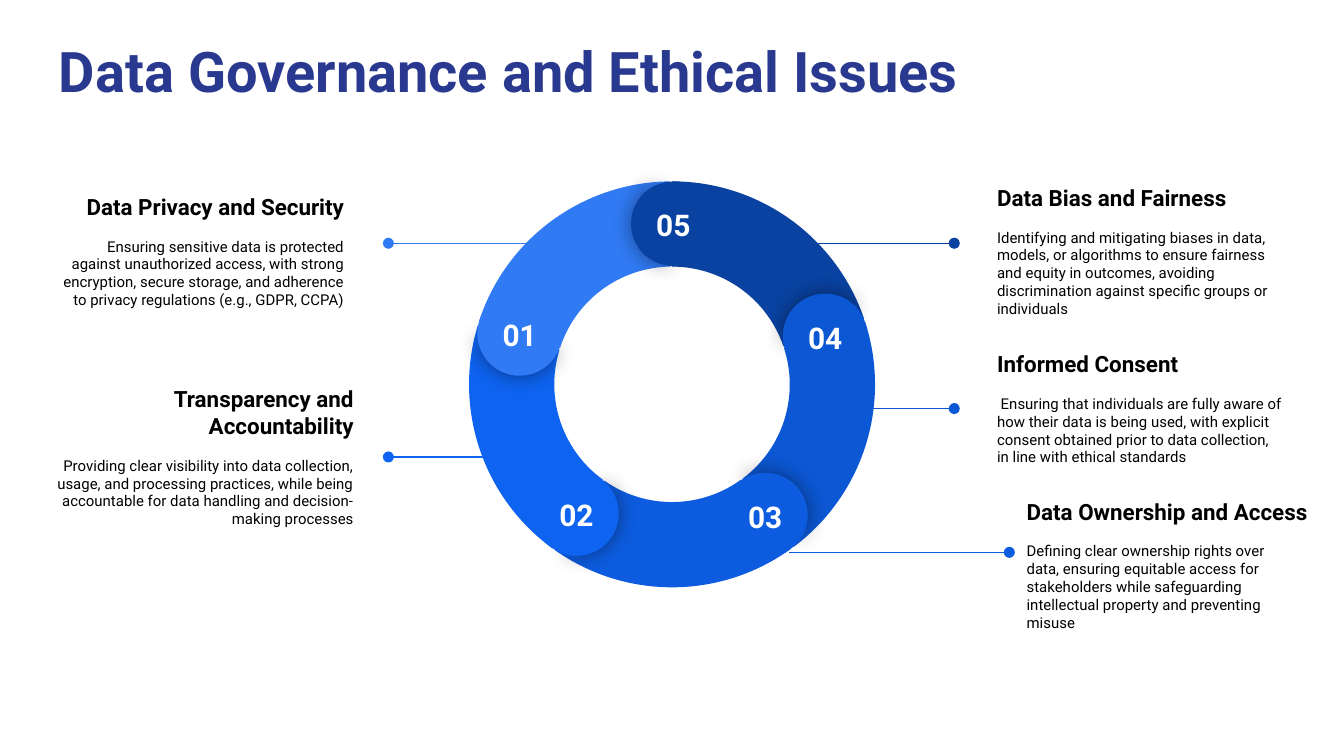
from math import cos, radians, sin

from lxml import etree
from pptx import Presentation
from pptx.dml.color import RGBColor
from pptx.enum.shapes import MSO_CONNECTOR, MSO_SHAPE
from pptx.enum.text import MSO_ANCHOR, PP_ALIGN
from pptx.oxml.ns import qn
from pptx.util import Inches, Pt

FONT = "Roboto"
NAVY = RGBColor(0x2A, 0x39, 0x90)
BLACK = RGBColor(0x00, 0x00, 0x00)
WHITE = RGBColor(0xFF, 0xFF, 0xFF)
BLUE_1 = RGBColor(0x30, 0x7A, 0xF3)
BLUE_2 = RGBColor(0x0E, 0x63, 0xF0)
BLUE_3 = RGBColor(0x0D, 0x5C, 0xDF)
BLUE_4 = RGBColor(0x0C, 0x57, 0xD3)
BLUE_5 = RGBColor(0x09, 0x42, 0xA1)

# Clockwise from the top of the ring
SEGMENTS = [("05", BLUE_5), ("04", BLUE_4), ("03", BLUE_3), ("02", BLUE_2), ("01", BLUE_1)]
STEP = 360 / len(SEGMENTS)
CAP_SIZE = 0.63

HEADING = {"size": 12, "bold": True}
BODY = {"size": 8, "space_after": 16}
HEADING_GAP = 9.4

# Text box, alignment, heading, body
CALLOUTS = [
    ((0.34, 1.36, 2.32, 1.01), PP_ALIGN.RIGHT, "Data Privacy and Security",
     "Ensuring sensitive data is protected against unauthorized access, with strong "
     "encryption, secure storage, and adherence to privacy regulations (e.g., GDPR, CCPA)"),
    ((0.24, 2.89, 2.49, 1.01), PP_ALIGN.RIGHT, "Transparency and Accountability",
     "Providing clear visibility into data collection, usage, and processing practices, "
     "while being accountable for data handling and decision-making processes"),
    ((7.32, 1.36, 2.32, 1.01), PP_ALIGN.LEFT, "Data Bias and Fairness",
     "Identifying and mitigating biases in data, models, or algorithms to ensure fairness "
     "and equity in outcomes, avoiding discrimination against specific groups or individuals"),
    ((7.32, 2.53, 2.32, 1.01), PP_ALIGN.LEFT, "Informed Consent",
     " Ensuring that individuals are fully aware of how their data is being used, with "
     "explicit consent obtained prior to data collection, in line with ethical standards"),
]

# Start x, end x, y, colour
LEADERS = [
    (4.23, 2.89, 1.81, BLUE_1),
    (3.91, 2.89, 3.4, BLUE_2),
    (5.87, 7.51, 4.11, BLUE_3),
    (5.7, 7.1, 1.81, BLUE_5),
    (6.14, 7.1, 3.04, BLUE_4),
]


def add_text(slide, box, paragraphs, align=PP_ALIGN.LEFT, anchor=MSO_ANCHOR.TOP):
    """Add a text box from (text, style) pairs."""
    frame = slide.shapes.add_textbox(*map(Inches, box)).text_frame
    frame.word_wrap = True
    frame.vertical_anchor = anchor
    frame.margin_left = frame.margin_right = Inches(0.1)
    frame.margin_top = frame.margin_bottom = Inches(0.1)
    for index, (text, style) in enumerate(paragraphs):
        paragraph = frame.add_paragraph() if index else frame.paragraphs[0]
        paragraph.text = text
        paragraph.alignment = align
        paragraph.space_after = Pt(style.get("space_after", 0))
        font = paragraph.font
        font.name = FONT
        font.size = Pt(style["size"])
        font.bold = style.get("bold", False)
        font.color.rgb = style.get("color", BLACK)


def add_callout(slide, box, align, heading, body):
    paragraphs = [(heading, {**HEADING, "space_after": HEADING_GAP}), (body, BODY)]
    add_text(slide, box, paragraphs, align, MSO_ANCHOR.MIDDLE)


def add_ownership_callout(slide, left, top):
    """The body wraps narrower than its heading, so each has its own box."""
    add_text(slide, (left, top + 0.32, 2.19, 0.78), [(
        "Defining clear ownership rights over data, ensuring equitable access for "
        "stakeholders while safeguarding intellectual property and preventing misuse", BODY)])
    add_text(slide, (left, top, 2.35, 0.39), [("Data Ownership and Access", HEADING)])


def add_leader(slide, start, end, y, color):
    """Add a horizontal line with a dot at its end."""
    line = slide.shapes.add_connector(
        MSO_CONNECTOR.STRAIGHT, Inches(start), Inches(y), Inches(end), Inches(y))
    line.line.color.rgb = color
    line.line.width = Pt(0.75)
    outline = line._element.spPr.find(qn("a:ln"))
    etree.SubElement(outline, qn("a:tailEnd"), type="oval")
    etree.SubElement(line._element.spPr, qn("a:effectLst"))


def add_sector(slide, kind, box, rotation, adjustments, color):
    shape = slide.shapes.add_shape(kind, *map(Inches, box))
    shape.rotation = rotation % 360
    for index, value in enumerate(adjustments):
        shape.adjustments[index] = value
    shape.shadow.inherit = False
    shape.fill.solid()
    shape.fill.fore_color.rgb = color
    shape.line.fill.background()
    return shape


def add_glow(shape):
    """Give the shape a soft black shadow on all sides."""
    effects = shape._element.spPr.find(qn("a:effectLst"))
    shadow = etree.SubElement(effects, qn("a:outerShdw"), blurRad=str(Pt(11.2)),
                              dist="0", dir="0", algn="ctr", rotWithShape="0")
    color = etree.SubElement(shadow, qn("a:srgbClr"), val="000000")
    etree.SubElement(color, qn("a:alpha"), val="43000")


def add_ring(slide, left, top, size):
    for index, (_, color) in enumerate(SEGMENTS):
        add_sector(slide, MSO_SHAPE.BLOCK_ARC, (left, top, size, size),
                   60 + index * STEP, (126.03, 168.68, 0.21), color)

    cap_orbit = (size - CAP_SIZE) / 2
    for index, (number, color) in enumerate(SEGMENTS):
        turn = index * STEP
        angle = radians(turn - 89.5)
        center_x = left + size / 2 + cap_orbit * cos(angle)
        center_y = top + size / 2 + cap_orbit * sin(angle)
        cap_top = center_y - CAP_SIZE / 2
        box = (center_x - CAP_SIZE / 2, cap_top, CAP_SIZE, CAP_SIZE)
        front = add_sector(slide, MSO_SHAPE.PIE, box, turn - 4.9, (61.9, 149.96), color)
        add_glow(front)
        add_sector(slide, MSO_SHAPE.PIE, box, turn + 174.4, (40.28, 171.84), color)
        add_text(slide, (center_x - 0.28, cap_top + 0.09, 0.56, 0.29),
                 [(number, {"size": 16, "bold": True, "color": WHITE})], PP_ALIGN.CENTER)


def main():
    presentation = Presentation()
    presentation.slide_width = Inches(10)
    presentation.slide_height = Inches(10) * 9 // 16
    slide = presentation.slides.add_slide(presentation.slide_layouts[6])

    title_style = {"size": 30, "bold": True, "color": NAVY}
    add_text(slide, (0.34, 0.17, 9.32, 0.66),
             [("Data Governance and Ethical Issues", title_style)])
    for leader in LEADERS:
        add_leader(slide, *leader)
    for callout in CALLOUTS:
        add_callout(slide, *callout)
    add_ring(slide, 3.49, 1.35, 3.02)
    add_ownership_callout(slide, 7.54, 3.61)
    presentation.save("out.pptx")


if __name__ == "__main__":
    main()
